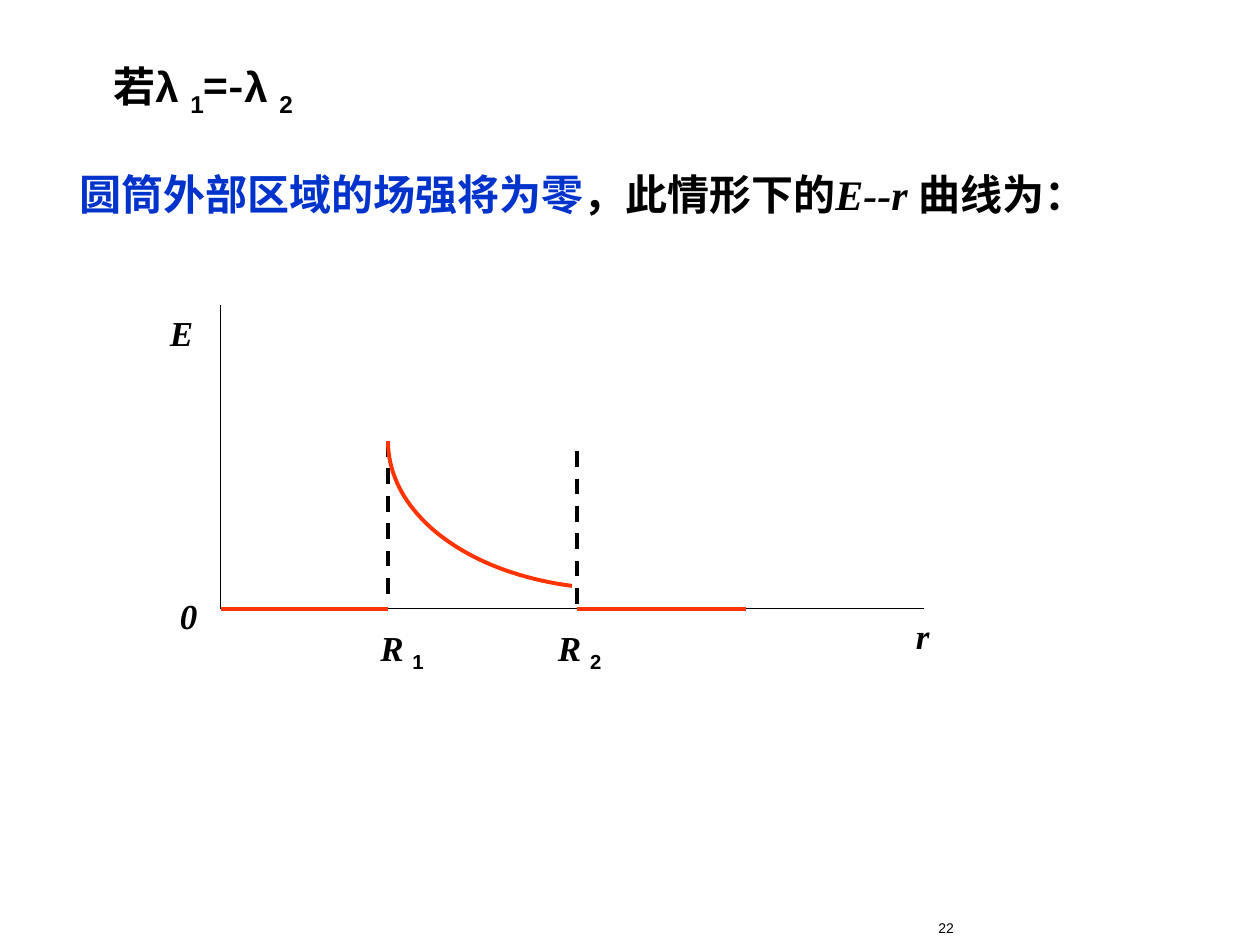
from pptx import Presentation
from pptx.dml.color import RGBColor
from pptx.enum.dml import MSO_LINE
from pptx.enum.shapes import MSO_CONNECTOR
from pptx.enum.text import MSO_ANCHOR, MSO_AUTO_SIZE, PP_ALIGN
from pptx.oxml.ns import qn
from pptx.util import Inches, Pt

BLACK = RGBColor(0, 0, 0)
BLUE = RGBColor(0x00, 0x33, 0xCC)
RED = RGBColor(0xFF, 0x33, 0x00)
SANS, SERIF, HAN = "Arial", "Times New Roman", "Noto Sans CJK SC"
DASH = MSO_LINE.DASH
STRAIGHT = MSO_CONNECTOR.STRAIGHT
LEFT, RIGHT = PP_ALIGN.LEFT, PP_ALIGN.RIGHT
TOP, MIDDLE = MSO_ANCHOR.TOP, MSO_ANCHOR.MIDDLE
FIT = MSO_AUTO_SIZE.SHAPE_TO_FIT_TEXT


class Board:
    def __init__(self, slide):
        self.slide = slide
        self.shapes = slide.shapes

    def run(self, para, text, size, face, color=BLACK, bold=True,
            italic=False, sub=False):
        run = para.add_run()
        run.text = text
        font = run.font
        font.size, font.name = Pt(size), face
        font.bold, font.italic = bold, italic
        font.color.rgb = color
        props = font._element
        if sub:
            props.set("baseline", "-25000")
        east = props.makeelement(qn("a:ea"), {"typeface": HAN})
        props.find(qn("a:latin")).addnext(east)

    def holder(self, index, box, pad, anchor, size, runs, space=1):
        """Place and fill a layout placeholder; pad is its left inset."""
        shape = self.slide.placeholders[index]
        shape.left, shape.top, shape.width, shape.height = map(Inches, box)
        frame = shape.text_frame
        frame.margin_left = Inches(pad)
        frame.vertical_anchor = anchor
        para = frame.paragraphs[0]
        para.alignment = LEFT
        para.line_spacing = space
        para.space_before = Pt(0)
        for text, face, style in runs:
            self.run(para, text, size, face, **style)

    def label(self, box, text, index=""):
        """Add an italic label with an optional upright subscript."""
        shape = self.shapes.add_textbox(*map(Inches, box))
        frame = shape.text_frame
        frame.word_wrap = False
        frame.auto_size = FIT
        para = frame.paragraphs[0]
        self.run(para, text, 20, SERIF, italic=True)
        if index:
            self.run(para, index, 20, SANS, sub=True)

    def number(self, box, text):
        shape = self.shapes.add_textbox(*map(Inches, box))
        frame = shape.text_frame
        frame.word_wrap = True
        para = frame.paragraphs[0]
        para.alignment = RIGHT
        self.run(para, text, 8, SANS, bold=False)

    def line(self, start, end, color=BLACK, width=2.25, dash=None):
        link = self.shapes.add_connector(
            STRAIGHT, *map(Inches, (*start, *end)))
        link.line.color.rgb = color
        link.line.width = Pt(width)
        if dash:
            link.line.dash_style = dash
        props = link._element.spPr
        props.append(props.makeelement(qn("a:effectLst"), {}))

    def curve(self, ctrl, steps=40):
        """Draw a cubic Bezier arc through its four control points."""
        points = []
        for step in range(steps + 1):
            t = step / steps
            parts = ((1 - t) ** 3, 3 * t * (1 - t) ** 2,
                     3 * t * t * (1 - t), t ** 3)
            points.append(tuple(
                Inches(sum(w * p[axis] for w, p in zip(parts, ctrl)))
                for axis in (0, 1)))
        path = self.shapes.build_freeform(*points[0])
        path.add_line_segments(points[1:], close=False)
        shape = path.convert_to_shape()
        shape.shadow.inherit = False
        shape.fill.background()
        shape.line.color.rgb = RED
        shape.line.width = Pt(2.25)


def main():
    deck = Presentation()
    deck.slide_width, deck.slide_height = Inches(10), Inches(7.5)
    board = Board(deck.slides.add_slide(deck.slide_layouts[0]))

    board.holder(0, (0.5, 0.17, 9, 1.08), 0.4, MIDDLE, 24, [
        ("若", HAN, {}),
        ("λ ", SANS, {}),
        ("1", SANS, {"sub": True}),
        ("=-", HAN, {}),
        ("λ ", SANS, {}),
        ("2", SANS, {"sub": True}),
    ])
    board.holder(1, (0, 1.17, 9.5, 4.83), 0.63, TOP, 24, [
        ("圆筒外部区域的场强将为零", SERIF, {"color": BLUE}),
        ("，此情形下的", SERIF, {}),
        ("E--r ", SERIF, {"italic": True}),
        ("曲线为：", HAN, {}),
    ], space=1.3)
    board.number((6.75, 7.25, 0.92, 0.25), "22")

    left, base, inner, outer = 1.75, 4.83, 3.08, 4.58
    zero = (left, base)
    board.line((left, 2.42), zero, width=0.75)
    board.line(zero, (7.33, base), width=0.75)

    board.label((7.17, 4.83, 0.31, 0.43), "r")
    board.label((1.25, 2.42, 0.39, 0.43), "E")
    board.label((1.33, 4.67, 0.34, 0.43), "0")
    for x, index in ((2.92, "1"), (4.33, "2")):
        board.label((x, 4.92, 0.55, 0.43), "R ", index)

    for start, end in ((left, inner), (outer, 5.92)):
        board.line((start, base), (end, base), RED)
    board.line((inner, 3.5), (inner, 4.75), dash=DASH)
    board.curve([(4.54, 4.65), (3.69, 4.54), (inner, 4.07), (inner, 3.5)])
    board.line((outer, 3.58), (outer, base), dash=DASH)

    deck.save("out.pptx")


if __name__ == "__main__":
    main()
